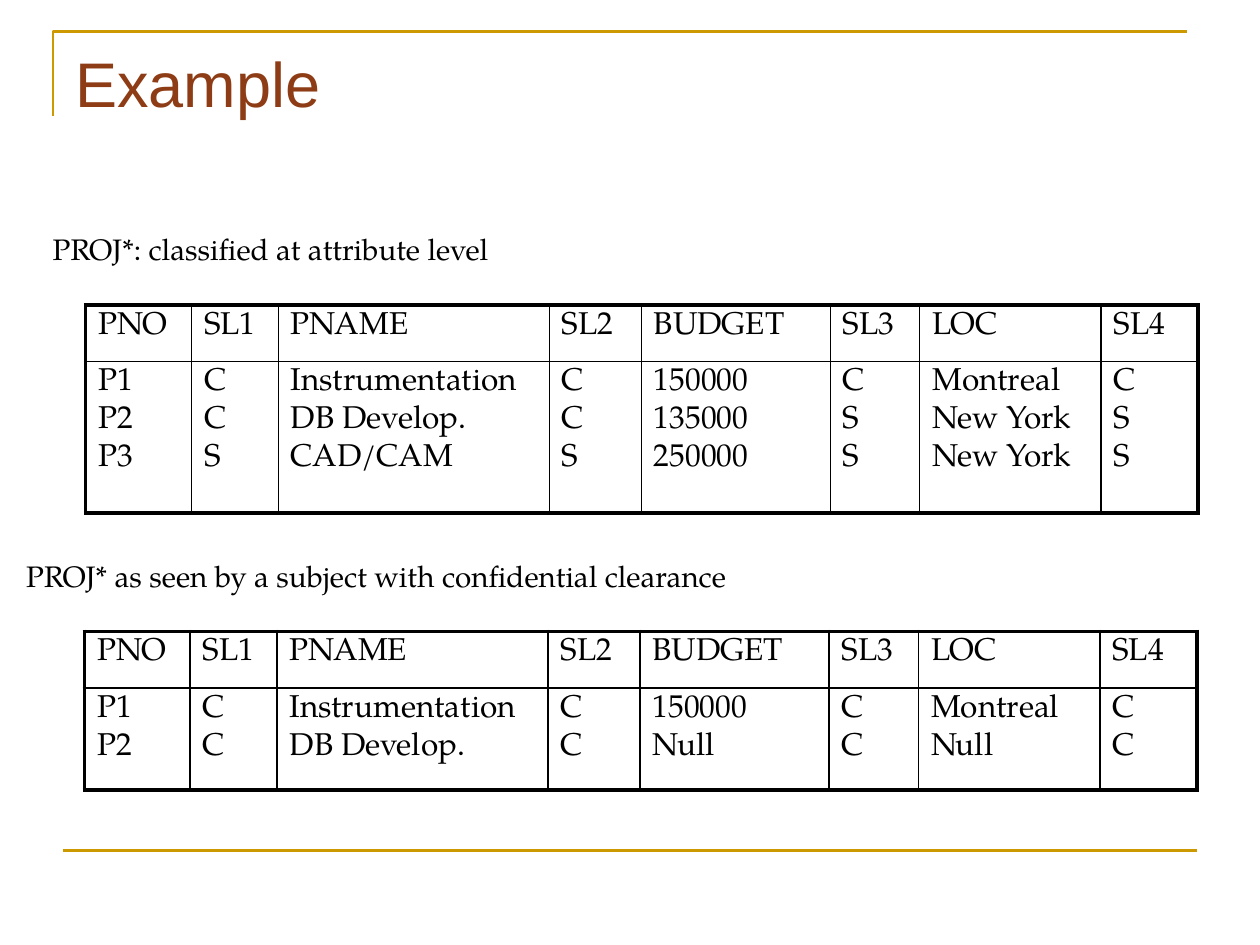
from lxml.etree import SubElement
from pptx import Presentation
from pptx.dml.color import RGBColor
from pptx.enum.shapes import MSO_CONNECTOR
from pptx.enum.text import MSO_AUTO_SIZE
from pptx.oxml.ns import qn
from pptx.util import Inches, Pt

INK = {"rule": "CC9900", "title": "8D3C15", "text": "000000"}
FACE = {"title": "Arial", "body": "TeX Gyre Pagella"}
COLS, ROWS = 100, 75
UNIT = Inches(0.1)
THICK, THIN = Pt(2.25), Pt(1)
WIDTHS = [8.4, 6.9, 21.5, 7.3, 15, 7.1, 14.4, 7.7]
HEAD = ["PNO", "SL1", "PNAME", "SL2", "BUDGET", "SL3", "LOC", "SL4"]
FULL = [
    ["P1", "C", "Instrumentation", "C", "150000", "C", "Montreal", "C"],
    ["P2", "C", "DB Develop.", "C", "135000", "S", "New York", "S"],
    ["P3", "S", "CAD/CAM", "S", "250000", "S", "New York", "S"],
]
SEEN = [
    ["P1", "C", "Instrumentation", "C", "150000", "C", "Montreal", "C"],
    ["P2", "C", "DB Develop.", "C", "Null", "C", "Null", "C"],
]


def grid(*cells):
    """Turn grid counts into slide lengths."""
    return [round(n * UNIT) for n in cells]


def add_run(para, text, size, face, ink):
    """Append one styled run to a paragraph."""
    run = para.add_run()
    run.text = text
    run.font.size = Pt(size)
    run.font.name = FACE[face]
    run.font.color.rgb = RGBColor.from_string(INK[ink])


def stroke(line):
    """Give a line the rule colour and width."""
    line.color.rgb = RGBColor.from_string(INK["rule"])
    line.width = Pt(1.5)


def add_frame(slide, x, y, w, h):
    """Draw the corner rule within the box."""
    path = slide.shapes.build_freeform(*grid(x, y + h))
    path.add_line_segments([grid(x, y), grid(x + w, y)], close=False)
    shape = path.convert_to_shape()
    shape.shadow.inherit = False
    shape.fill.background()
    stroke(shape.line)


def add_foot(slide, x, y, w):
    """Draw the level rule at the foot."""
    rule = slide.shapes.add_connector(
        MSO_CONNECTOR.STRAIGHT, *grid(x, y, x + w, y))
    stroke(rule.line)
    SubElement(rule._element.spPr, qn("a:effectLst"))


def add_text(slide, box, text, size, face, ink, wrap=False):
    """Place one line of text in the box."""
    frame = slide.shapes.add_textbox(*grid(*box)).text_frame
    frame.word_wrap = wrap
    if not wrap:
        frame.auto_size = MSO_AUTO_SIZE.SHAPE_TO_FIT_TEXT
    add_run(frame.paragraphs[0], text, size, face, ink)


def edge_cell(cell, widths):
    """Set the left, right, top and bottom borders of a cell."""
    props = cell._tc.get_or_add_tcPr()
    for side, width in zip("LRTB", widths):
        line = SubElement(props, qn(f"a:ln{side}"), w=str(width))
        fill = SubElement(line, qn("a:solidFill"))
        SubElement(fill, qn("a:srgbClr"), val=INK["text"])
    cell.fill.background()


def fill_cell(cell, words):
    """Write each word as a paragraph of the cell."""
    frame = cell.text_frame
    for i, word in enumerate(words):
        para = frame.add_paragraph() if i else frame.paragraphs[0]
        para.line_spacing = 0.9
        gap = SubElement(para._p.get_or_add_pPr(), qn("a:spcBef"))
        SubElement(gap, qn("a:spcPct"), val="30000")
        add_run(para, word, 18, "body", "text")


def add_grid(slide, x, y, heights, data):
    """Place a table with a head row and one row of stacked values."""
    box = grid(x, y, sum(WIDTHS), sum(heights))
    table = slide.shapes.add_table(2, len(HEAD), *box).table
    table.first_row = table.horz_banding = False
    for col, width in zip(table.columns, grid(*WIDTHS)):
        col.width = width
    for row, height in zip(table.rows, grid(*heights)):
        row.height = height
    last = len(HEAD) - 1
    for c, words in enumerate(zip(*data)):
        for r, stack in enumerate([[HEAD[c]], words]):
            cell = table.cell(r, c)
            outer = [c == 0, c == last, r == 0, r == 1]
            edge_cell(cell, [THICK if out else THIN for out in outer])
            fill_cell(cell, stack)


def main():
    """Build the slide and save it."""
    deck = Presentation()
    deck.slide_width, deck.slide_height = grid(COLS, ROWS)
    slide = deck.slides.add_slide(deck.slide_layouts[6])
    add_frame(slide, 4.2, 2.5, 90, 6.7)
    add_foot(slide, 5, 67.5, 90)
    add_text(slide, (5, 3, 90, 12.5), "Example", 36, "title", "title", True)
    add_grid(slide, 6.8, 24.2, (4.5, 12), FULL)
    add_text(slide, (3.2, 17.8, 37.1, 3.8),
             "PROJ*: classified at attribute level", 16.9, "body", "text")
    add_grid(slide, 6.7, 50.1, (4.5, 8.1), SEEN)
    add_text(slide, (1.1, 43.8, 58.3, 3.8),
             "PROJ* as seen by a subject with confidential clearance",
             16.9, "body", "text")
    deck.save("out.pptx")


if __name__ == "__main__":
    main()
